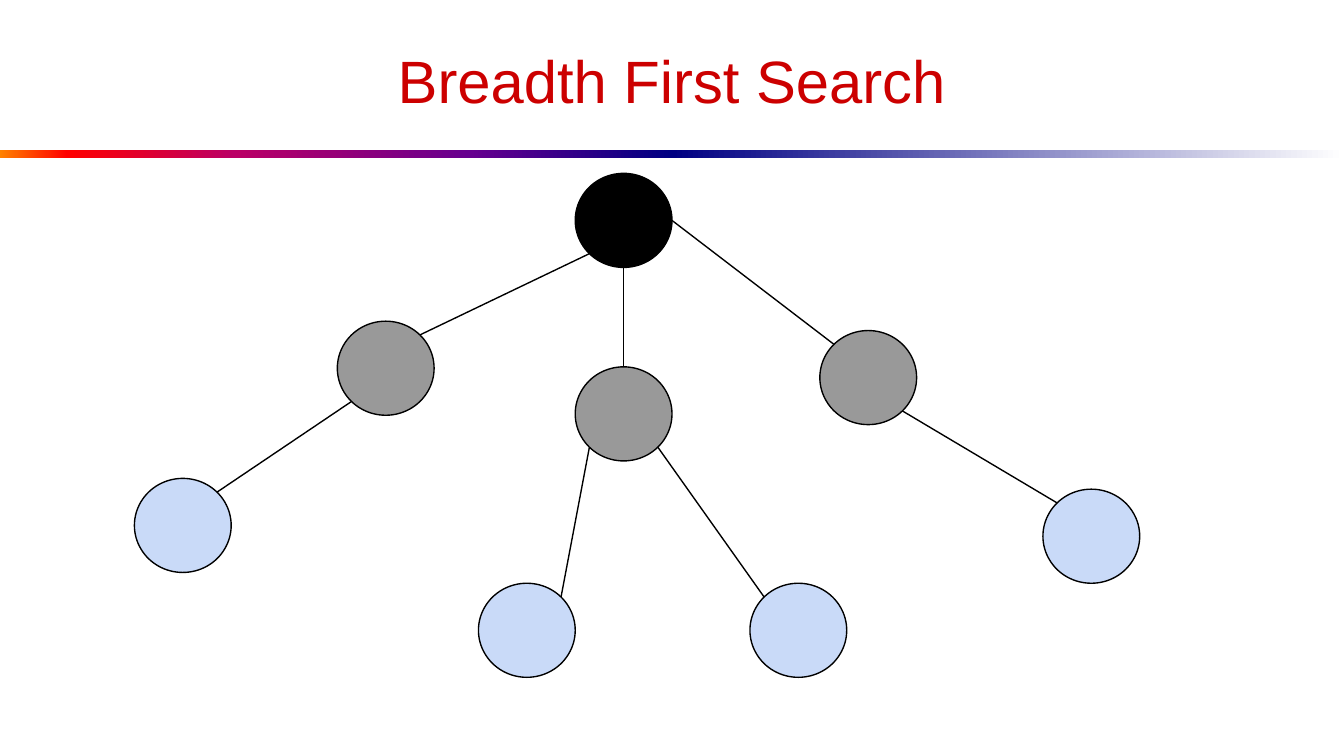
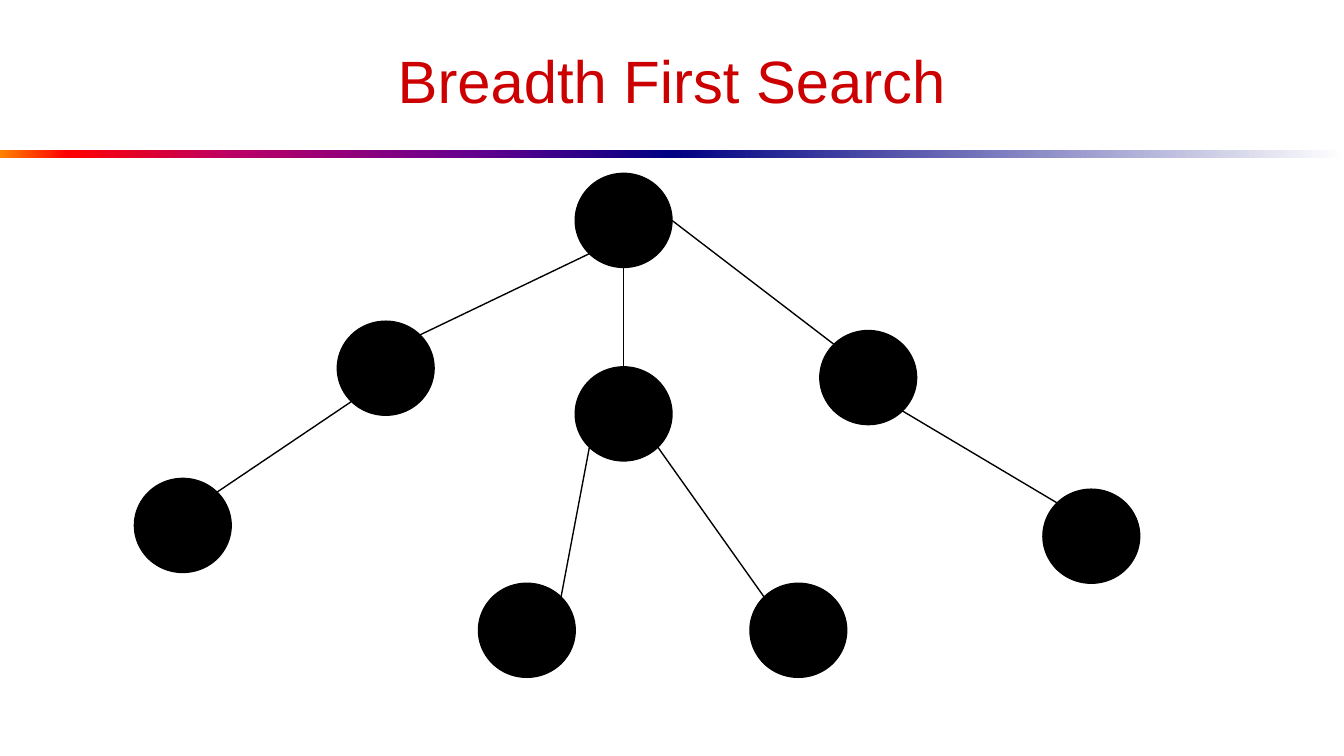
from math import cos, radians, sin

from lxml.etree import SubElement
from pptx import Presentation
from pptx.dml.color import RGBColor as RGB
from pptx.enum.shapes import MSO_CONNECTOR as CONN, MSO_SHAPE as SHAPE
from pptx.enum.text import MSO_ANCHOR as ANCHOR, PP_ALIGN as ALIGN
from pptx.oxml.ns import qn
from pptx.util import Inches, Pt

COLORS = {
    "title": "CC0000", "line": "000000",
    "visited": "000000", "queued": "999999", "unseen": "C9DAF8",
    "orange": "FF8200", "red": "FF0000", "magenta": "BA0066",
    "purple": "66008F", "navy": "000082", "white": "FFFFFF",
}
CELL = Inches(0.1)  # the grid has 100 columns and 56.25 rows
COLS, ROWS = 100, 56.25
NODE_W, NODE_H = 7.2, 7.0

# Connection sites of an ellipse, counted counter-clockwise from the top
TOP, TOP_LEFT, BOTTOM_LEFT, BOTTOM, BOTTOM_RIGHT, RIGHT, TOP_RIGHT = 0, 1, 3, 4, 5, 6, 7

# Tree: node name -> (column, row) of its top left corner
NODES = {
    "root": (42.8, 12.9),
    "left leaf": (10, 35.6),
    "middle": (42.8, 27.3),
    "middle leaf 1": (35.6, 43.4),
    "right": (61, 24.6),
    "left": (25.1, 23.9),
    "middle leaf 2": (55.8, 43.4),
    "right leaf": (77.6, 36.4),
}
EDGES = [
    ("root", BOTTOM_LEFT, "left", TOP_RIGHT),
    ("left", BOTTOM_LEFT, "left leaf", TOP_RIGHT),
    ("root", BOTTOM, "middle", TOP),
    ("middle", BOTTOM_LEFT, "middle leaf 1", TOP_RIGHT),
    ("middle", BOTTOM_RIGHT, "middle leaf 2", TOP_LEFT),
    ("root", RIGHT, "right", TOP_LEFT),
    ("right", BOTTOM_RIGHT, "right leaf", TOP_LEFT),
]


def grid(*lengths):
    return [int(n * CELL) for n in lengths]


class Deck:
    def __init__(self):
        self.prs = Presentation()
        self.prs.slide_width, self.prs.slide_height = grid(COLS, ROWS)
        self.s = None

    def color(self, name):
        return RGB.from_string(COLORS[name])

    def slide(self, title):
        self.s = self.prs.slides.add_slide(self.prs.slide_layouts[6])
        # Two-part rule under the title
        self.band(0, [(0, "orange"), (10, "red"), (35, "magenta"),
                      (70, "purple"), (100, "navy")])
        self.band(COLS / 2, [(0, "navy"), (100, "white")])
        self.title(title)

    def band(self, col, stops):
        sp = self.s.shapes.add_shape(SHAPE.RECTANGLE, *grid(col, 11.2, COLS / 2, 0.6))
        sp.shadow.inherit = False
        sp.line.fill.background()
        sp.fill.gradient()
        sp.fill.gradient_angle = 0
        stop_list = sp.element.spPr.find(".//" + qn("a:gsLst"))
        for stop in list(stop_list):
            stop_list.remove(stop)
        for pos, name in stops:
            stop = SubElement(stop_list, qn("a:gs"), pos=str(pos * 1000))
            SubElement(stop, qn("a:srgbClr"), val=COLORS[name])

    def title(self, text):
        tf = self.s.shapes.add_textbox(*grid(5, 1.9, 90, 8.1)).text_frame
        tf.word_wrap = True
        tf.vertical_anchor = ANCHOR.MIDDLE
        p = tf.paragraphs[0]
        p.alignment = ALIGN.CENTER
        r = p.add_run()
        r.text = text
        for key, value in {"name": "Arial", "size": Pt(32)}.items():
            setattr(r.font, key, value)
        r.font.color.rgb = self.color("title")

    def outline(self, sp):
        sp.line.color.rgb = self.color("line")
        sp.line.width = Pt(0.75)

    def node(self, col, row, fill):
        sp = self.s.shapes.add_shape(SHAPE.OVAL, *grid(col, row, NODE_W, NODE_H))
        sp.shadow.inherit = False
        sp.fill.solid()
        sp.fill.fore_color.rgb = self.color(fill)
        self.outline(sp)
        return sp

    def site(self, sp, idx):
        angle = radians(45 * idx)
        return (int(sp.left + sp.width / 2 * (1 - sin(angle))),
                int(sp.top + sp.height / 2 * (1 - cos(angle))))

    def edge(self, start, start_site, end, end_site):
        line = self.s.shapes.add_connector(
            CONN.STRAIGHT, *self.site(start, start_site), *self.site(end, end_site))
        self.outline(line)
        SubElement(line.element.spPr, qn("a:effectLst"))
        # Glue by XML: begin_connect knows only the four sites of a rectangle
        joints = line.element.find(".//" + qn("p:cNvCxnSpPr"))
        for tag, sp, idx in (("a:stCxn", start, start_site), ("a:endCxn", end, end_site)):
            SubElement(joints, qn(tag), id=str(sp.shape_id), idx=str(idx))

    def tree(self, states, default):
        nodes = {name: self.node(*at, states.get(name, default))
                 for name, at in NODES.items()}
        for start, start_site, end, end_site in EDGES:
            self.edge(nodes[start], start_site, nodes[end], end_site)


def main():
    deck = Deck()
    first_level = dict.fromkeys(("left", "middle", "right"), "queued")
    # Root visited and its children queued, then the whole tree visited
    for states, default in (({"root": "visited", **first_level}, "unseen"),
                            ({}, "visited")):
        deck.slide("Breadth First Search")
        deck.tree(states, default)
    deck.prs.save("out.pptx")


if __name__ == "__main__":
    main()
